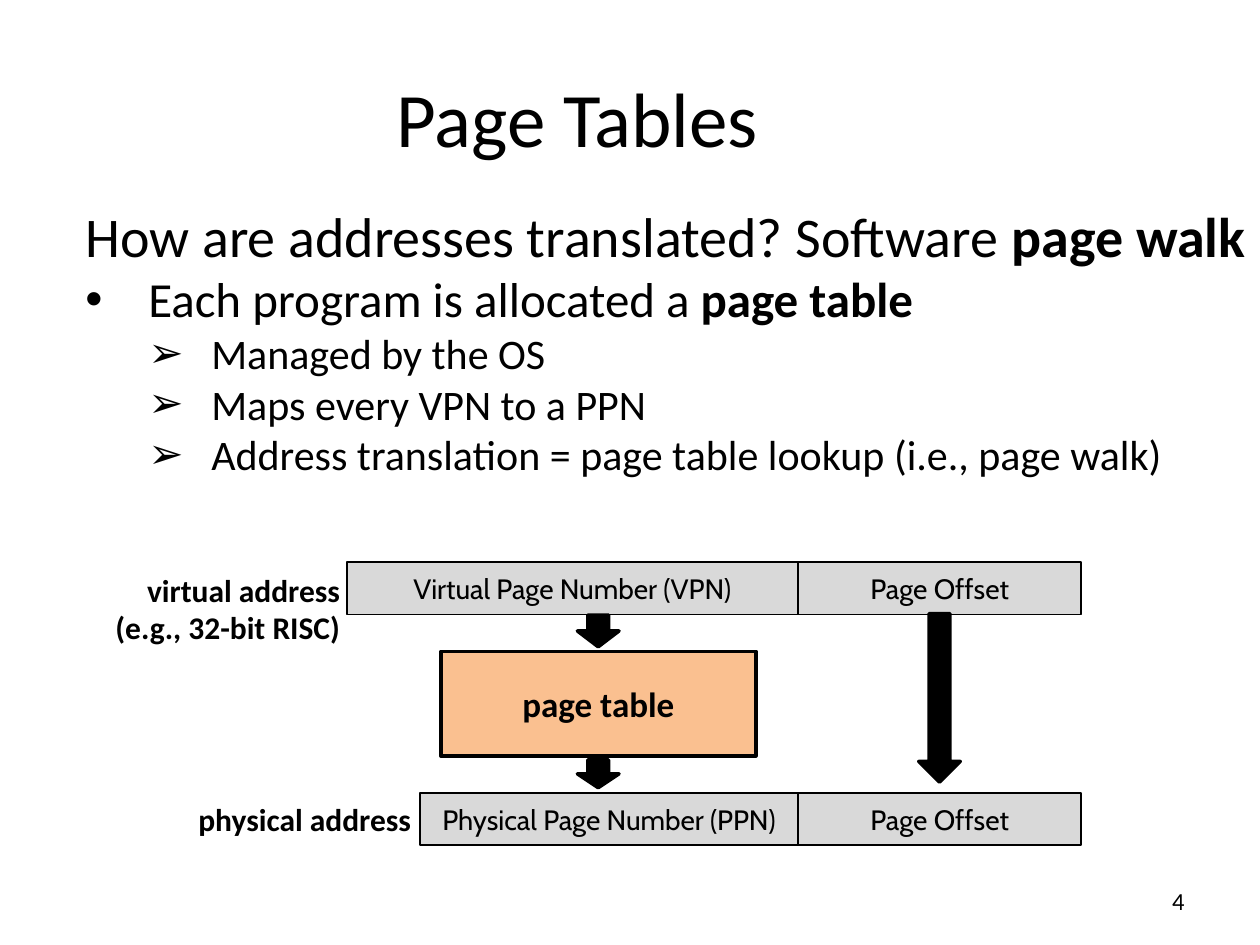
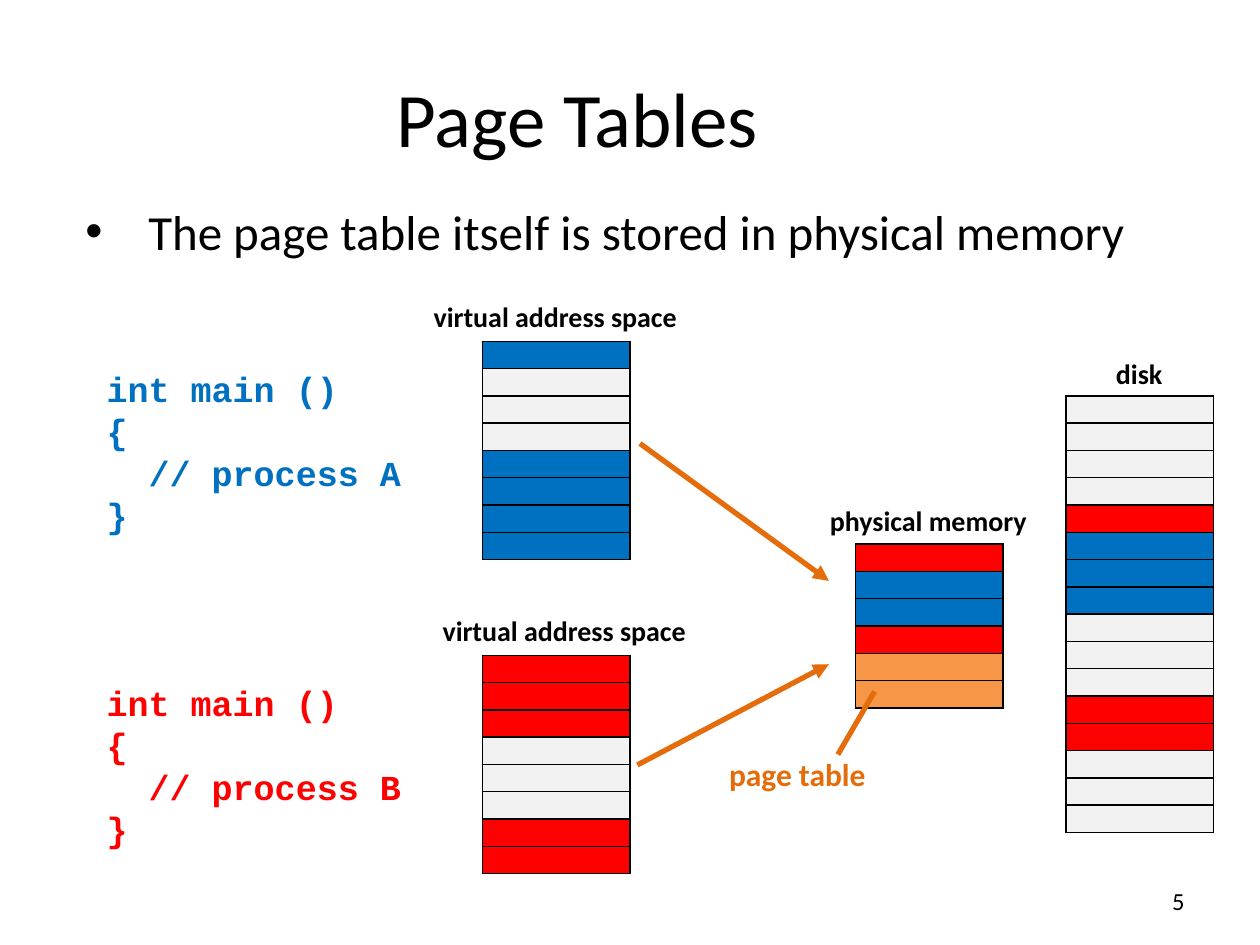
from dataclasses import dataclass
from typing import Any, NamedTuple

from lxml.etree import SubElement
from pptx import Presentation
from pptx.dml.color import RGBColor
from pptx.enum.shapes import MSO_CONNECTOR as Connector, MSO_SHAPE as Preset
from pptx.enum.text import MSO_ANCHOR as Anchor, PP_ALIGN as Align
from pptx.oxml.ns import qn
from pptx.util import Cm, Pt

BLACK = RGBColor(0x00, 0x00, 0x00)
WHITE = RGBColor(0xFF, 0xFF, 0xFF)
GREY = RGBColor(0xD9, 0xD9, 0xD9)
PALE = RGBColor(0xF2, 0xF2, 0xF2)
PEACH = RGBColor(0xFA, 0xC0, 0x90)
ORANGE = RGBColor(0xF7, 0x96, 0x46)
DARK_ORANGE = RGBColor(0xE4, 0x6C, 0x0A)
BLUE = RGBColor(0x00, 0x70, 0xC0)
RED = RGBColor(0xFF, 0x00, 0x00)

# Owner of each memory page: process A, process B, page table, free
PAGE_COLOURS = {"A": BLUE, "B": RED, "T": ORANGE, "-": PALE}

INDENT = 1.27
MEMORY_WIDTH, MEMORY_ROW = 2.97, 0.55
FIELD_HEIGHT = 1.06
ARROW_WIDTH = 0.84


class Area(NamedTuple):
    left: float
    top: float
    width: float
    height: float

    def lengths(self) -> list:
        return [Cm(value) for value in self]


class Span(NamedTuple):
    text: str
    bold: bool = False


@dataclass(frozen=True)
class Style:
    size: float
    font: str = "Calibri"
    colour: RGBColor = BLACK
    bold: bool = False
    align: Any = Align.LEFT
    anchor: Any = Anchor.TOP
    wrap: bool = True


@dataclass(frozen=True)
class BodyLine:
    spans: tuple[Span, ...]
    size: float
    bullet: str = ""
    depth: int = 0


@dataclass(frozen=True)
class Field:
    text: str
    left: float
    right: float
    top: float


@dataclass(frozen=True)
class Memory:
    caption: str
    caption_left: float
    caption_top: float
    left: float
    top: float
    pages: str


@dataclass(frozen=True)
class Pointer:
    start: tuple[float, float]
    end: tuple[float, float]
    arrow: bool = True


TITLE = Style(44, align=Align.CENTER, anchor=Anchor.MIDDLE)
NUMBER = Style(14, align=Align.RIGHT, anchor=Anchor.MIDDLE)
FIELD = Style(16, "Cabin", align=Align.CENTER, anchor=Anchor.MIDDLE, wrap=False)
TABLE_BOX = Style(20, bold=True, align=Align.CENTER, anchor=Anchor.MIDDLE)
SIDE_LABEL = Style(18, bold=True, align=Align.RIGHT, anchor=Anchor.MIDDLE)
CAPTION = Style(16, bold=True, align=Align.CENTER)
TABLE_NOTE = Style(18, colour=DARK_ORANGE, bold=True, align=Align.CENTER, anchor=Anchor.MIDDLE)


def apply(target: Any, values: dict[str, Any]) -> None:
    for name, value in values.items():
        setattr(target, name, value)


def add_span(para, text: str, style: Style, size: float, bold: bool) -> None:
    span = para.add_run()
    span.text = text
    apply(span.font, {"size": Pt(size), "name": style.font, "bold": bold})
    span.font.color.rgb = style.colour


def write(shape, lines: list[str], style: Style) -> None:
    frame = shape.text_frame
    apply(frame, {"word_wrap": style.wrap, "vertical_anchor": style.anchor})
    for index, line in enumerate(lines):
        para = frame.add_paragraph() if index else frame.paragraphs[0]
        para.alignment = style.align
        add_span(para, line, style, style.size, style.bold)


def add_label(page, area: Area, lines: list[str], style: Style) -> None:
    write(page.shapes.add_textbox(*area.lengths()), lines, style)


def add_body(page, area: Area, lines: list[BodyLine]) -> None:
    frame = page.shapes.add_textbox(*area.lengths()).text_frame
    frame.word_wrap = True
    for index, line in enumerate(lines):
        para = frame.add_paragraph() if index else frame.paragraphs[0]
        if line.bullet:
            para.level = line.depth - 1
            props = para._p.get_or_add_pPr()
            props.set("marL", str(Cm(INDENT * line.depth)))
            props.set("indent", str(-Cm(INDENT)))
            SubElement(props, qn("a:buFont"), typeface="Arial")
            SubElement(props, qn("a:buChar"), char=line.bullet)
        for span in line.spans:
            add_span(para, span.text, Style(line.size), line.size, span.bold)


def add_box(page, preset, area: Area, fill: RGBColor, line_width: float = 0):
    box = page.shapes.add_shape(preset, *area.lengths())
    box.shadow.inherit = False
    box.fill.solid()
    box.fill.fore_color.rgb = fill
    if line_width:
        box.line.color.rgb = BLACK
        box.line.width = Pt(line_width)
    else:
        box.line.fill.background()
    return box


def add_field(page, field: Field) -> None:
    area = Area(field.left, field.top, field.right - field.left, FIELD_HEIGHT)
    write(add_box(page, Preset.RECTANGLE, area, GREY, 1), [field.text], FIELD)


def fill_cell(cell, colour: RGBColor) -> None:
    apply(cell, dict.fromkeys(("margin_left", "margin_right", "margin_top", "margin_bottom"), 0))
    # A small empty line keeps the row at its set height
    SubElement(cell.text_frame.paragraphs[0]._p, qn("a:endParaRPr"), sz="800")
    props = cell._tc.get_or_add_tcPr()
    for side in "LRTB":
        border = SubElement(props, qn(f"a:ln{side}"), w=str(Pt(1)))
        solid = SubElement(border, qn("a:solidFill"))
        SubElement(solid, qn("a:srgbClr"), val=str(BLACK))
    cell.fill.solid()
    cell.fill.fore_color.rgb = colour


def add_memory(page, memory: Memory) -> None:
    count = len(memory.pages)
    area = Area(memory.left, memory.top, MEMORY_WIDTH, MEMORY_ROW * count)
    table = page.shapes.add_table(count, 1, *area.lengths()).table
    apply(table, {"first_row": False, "horz_banding": False})
    for index, owner in enumerate(memory.pages):
        table.rows[index].height = Cm(MEMORY_ROW)
        fill_cell(table.cell(index, 0), PAGE_COLOURS[owner])
    caption_area = Area(memory.caption_left, memory.caption_top, 6.55, 0.94)
    add_label(page, caption_area, [memory.caption], CAPTION)


def add_pointer(page, pointer: Pointer) -> None:
    ends = [Cm(value) for value in (*pointer.start, *pointer.end)]
    line = page.shapes.add_connector(Connector.STRAIGHT, *ends)
    line.line.color.rgb = DARK_ORANGE
    line.line.width = Pt(3)
    if pointer.arrow:
        SubElement(line.line._get_or_add_ln(), qn("a:tailEnd"), type="triangle")
    SubElement(line._element.spPr, qn("a:effectLst"))


def start_page(deck, number: int):
    page = deck.slides.add_slide(deck.slide_layouts[6])
    add_label(page, Area(1.27, 0.76, 20.75, 3.18), ["Page Tables"], TITLE)
    add_label(page, Area(21.16, 17.65, 2.97, 1.02), [str(number)], NUMBER)
    return page


def build_translation(deck) -> None:
    page = start_page(deck, 4)
    details = ("Managed by the OS", "Maps every VPN to a PPN",
               "Address translation = page table lookup (i.e., page walk)")
    add_body(page, Area(1.47, 3.94, 23.93, 14.81), [
        BodyLine((Span("How are addresses translated? Software "), Span("page walk", True)), 32),
        BodyLine((Span("Each program is allocated a "), Span("page table", True)), 28, "•", 1),
        *(BodyLine((Span(text),), 24, "➢", 2) for text in details),
    ])

    # Virtual address above, physical address below
    split, right, virtual_top, physical_top = 16.09, 21.8, 11.33, 15.98
    for field in (
        Field("Virtual Page Number (VPN)", 6.99, split, virtual_top),
        Field("Page Offset", split, right, virtual_top),
        Field("Physical Page Number (PPN)", 8.47, split, physical_top),
        Field("Page Offset", split, right, physical_top),
    ):
        add_field(page, field)
    add_label(page, Area(1.47, 11.63, 5.64, 1.27),
              ["virtual address", "(e.g., 32-bit RISC)"], SIDE_LABEL)
    add_label(page, Area(3.56, 15.88, 4.98, 1.27), ["physical address"], SIDE_LABEL)

    # Page table between them, with the arrows
    table_box = add_box(page, Preset.RECTANGLE, Area(8.89, 13.13, 6.35, 2.11), PEACH, 2)
    write(table_box, ["page table"], TABLE_BOX)
    for left, top, height in ((11.64, 12.4, 0.64), (11.64, 15.32, 0.56), (18.52, 12.37, 3.4)):
        add_box(page, Preset.DOWN_ARROW, Area(left, top, ARROW_WIDTH, height), BLACK, 2)


def build_storage(deck) -> None:
    page = start_page(deck, 5)
    sentence = Span("The page table itself is stored in physical memory")
    add_body(page, Area(1.47, 3.94, 22.25, 3.05), [BodyLine((sentence,), 28, "•", 1)])

    # Program of each process
    for process, top in (("A", 7.29), ("B", 13.61)):
        code_box = add_box(page, Preset.RECTANGLE, Area(1.9, top, 6.78, 3.58), WHITE)
        code = ["int main ()", "{", f"  // process {process}", "}"]
        write(code_box, code, Style(20, "Courier New", PAGE_COLOURS[process], bold=True))

    # Memories and disk
    for memory in (
        Memory("virtual address space", 7.92, 5.92, 9.73, 6.88, "A---AAAA"),
        Memory("virtual address space", 8.1, 12.24, 9.73, 13.21, "BBB---BB"),
        Memory("physical memory", 15.44, 10.03, 17.25, 10.97, "BAABTT"),
        Memory("disk", 19.69, 7.06, 21.49, 7.98, "----BAAA---BB---"),
    ):
        add_memory(page, memory)

    # Mappings and the page table note
    for pointer in (
        Pointer((12.9, 8.94), (16.71, 11.71)),
        Pointer((12.85, 15.42), (16.71, 13.39)),
        Pointer((17.63, 13.94), (16.89, 15.21), arrow=False),
    ):
        add_pointer(page, pointer)
    add_label(page, Area(14.17, 14.96, 3.81, 1.27), ["page table"], TABLE_NOTE)


def main() -> None:
    deck = Presentation()
    apply(deck, {"slide_width": Cm(25.4), "slide_height": Cm(19.05)})
    build_translation(deck)
    build_storage(deck)
    deck.save("out.pptx")


if __name__ == "__main__":
    main()
